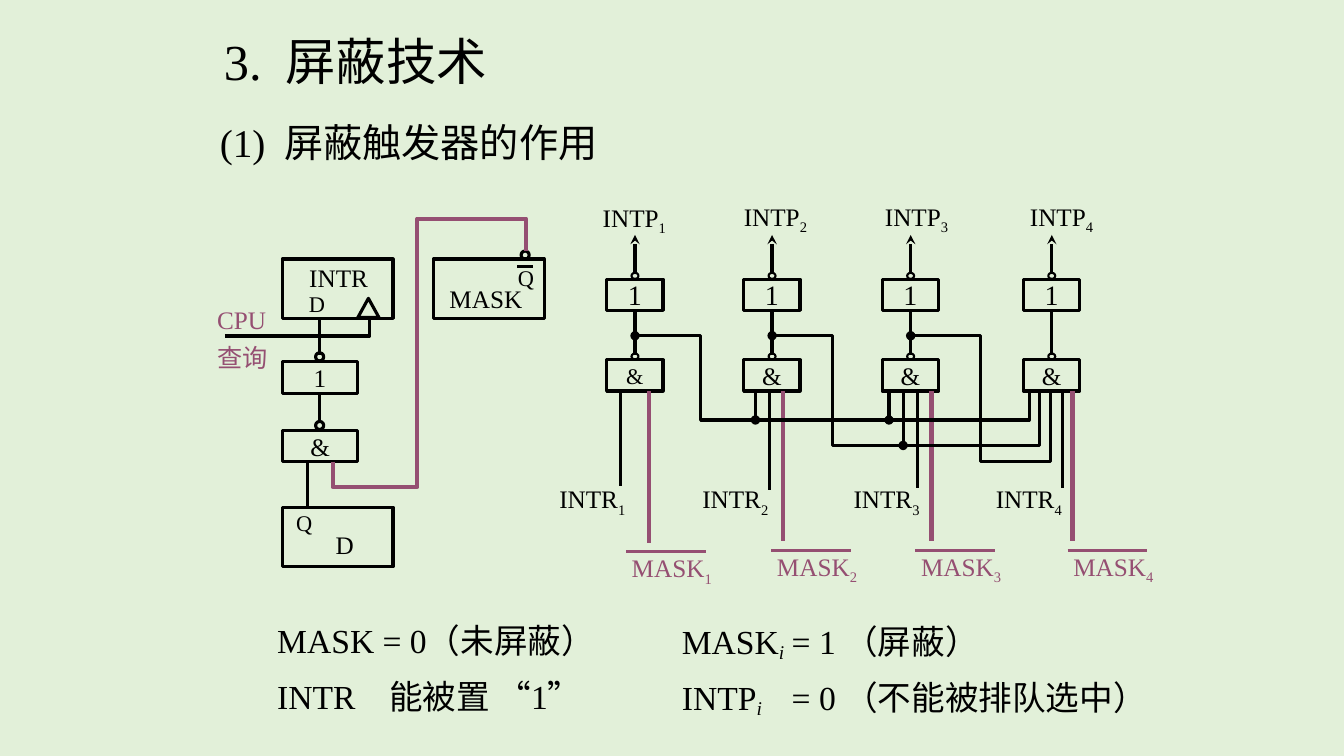
from lxml.etree import SubElement
from pptx import Presentation
from pptx.dml.color import RGBColor
from pptx.enum.shapes import MSO_CONNECTOR, MSO_SHAPE
from pptx.enum.text import MSO_ANCHOR, PP_ALIGN
from pptx.oxml.ns import qn
from pptx.util import Pt

COLORS = {"bg": "E2F0D9", "ink": "000000", "mask": "954F72"}
FONT = "Times New Roman"


def rgb(name):
    return RGBColor.from_string(COLORS[name])


def style_runs(p, size, color):
    for r in p.runs:
        r.font.name = FONT
        r.font.size = Pt(size)
        r.font.color.rgb = rgb(color)


def add_text(s, x, y, w, h, text, size, color="ink", sub="", rest="",
             drop=25, tab=None, middle=False, spacing=None):
    """Text box holding text, an optional subscript and the rest of the line."""
    tf = s.shapes.add_textbox(Pt(x), Pt(y), Pt(w), Pt(h)).text_frame
    tf.word_wrap = True
    tf.text = text
    if middle:
        tf.vertical_anchor = MSO_ANCHOR.MIDDLE
        tf.margin_left = tf.margin_right = tf.margin_top = tf.margin_bottom = 0
    if sub:
        r = tf.paragraphs[0].add_run()
        r.text = sub
        r.font.italic = sub == "i"
        r._r.get_or_add_rPr().set("baseline", str(-drop * 1000))
    if rest:
        tf.paragraphs[0].add_run().text = rest
    for p in tf.paragraphs:
        style_runs(p, size, color)
        if spacing:
            p.line_spacing = spacing
        if tab:
            stops = SubElement(p._p.get_or_add_pPr(), qn("a:tabLst"))
            SubElement(stops, qn("a:tab"), pos=str(Pt(tab)), algn="l")


def add_outline(s, kind, x, y, w, h, weight=2.25, text="", size=18):
    sp = s.shapes.add_shape(kind, Pt(x), Pt(y), Pt(w), Pt(h))
    sp.shadow.inherit = False
    sp.fill.background()
    sp.line.color.rgb = rgb("ink")
    sp.line.width = Pt(weight)
    if text:
        tf = sp.text_frame
        tf.margin_left = tf.margin_right = tf.margin_top = tf.margin_bottom = 0
        tf.vertical_anchor = MSO_ANCHOR.MIDDLE
        tf.word_wrap = False
        tf.text = text
        tf.paragraphs[0].alignment = PP_ALIGN.CENTER
        style_runs(tf.paragraphs[0], size, "ink")


def add_wire(s, points, color="ink", weight=2.25, head=None, tail=None):
    """Straight connector for two points, open freeform for more."""
    pts = [(Pt(x), Pt(y)) for x, y in points]
    if len(pts) == 2:
        wire = s.shapes.add_connector(MSO_CONNECTOR.STRAIGHT, *pts[0], *pts[1])
        SubElement(wire._element.spPr, qn("a:effectLst"))
    else:
        builder = s.shapes.build_freeform(*pts[0], scale=1.0)
        builder.add_line_segments(pts[1:], close=False)
        wire = builder.convert_to_shape()
        wire.shadow.inherit = False
        wire.fill.background()
    wire.line.color.rgb = rgb(color)
    wire.line.width = Pt(weight)
    ln = wire.line._get_or_add_ln()
    for tag, end in (("a:headEnd", head), ("a:tailEnd", tail)):
        if end:
            SubElement(ln, qn(tag), type=end)


def headings(s, x, y):
    add_text(s, x + 3, y, 400, 34, "3.\t屏蔽技术", 36, tab=44, middle=True)
    add_text(s, x, y + 58, 425, 34, "(1)\t屏蔽触发器的作用", 28, tab=46, middle=True)


def flip_flop_circuit(s, x, y):
    left = x + 53.6

    # Flip-flops
    for fx, fy in ((left, y + 35), (x + 161.6, y + 35), (left, y + 212.2)):
        add_outline(s, MSO_SHAPE.RECTANGLE, fx, fy, 79.2, 42.5)
    add_outline(s, MSO_SHAPE.ISOSCELES_TRIANGLE, x + 107.6, y + 63.1, 15.1, 13.7)
    for text, dx, dy, w, size in (("INTR", 65.8, 33.6, 65, 18), ("D", 65.5, 53.8, 30, 16),
                                  ("MASK", 166, 48.7, 75, 18), ("Q", 214.9, 35, 30, 16),
                                  ("Q", 56.5, 210, 30, 16), ("D", 84.6, 224.4, 30, 18)):
        add_text(s, x + dx, y + dy, w, 28, text, size)
    add_wire(s, [(x + 221.4, y + 40.1), (x + 232.9, y + 40.1)])

    # Gates and inverting outputs
    for text, dy in (("1", 108.5), ("&", 157.4)):
        add_outline(s, MSO_SHAPE.RECTANGLE, left, y + dy, 54, 22.3, text=text)
    for dx, dy in ((77.4, 102), (77.4, 151), (224.2, 29.3)):
        add_outline(s, MSO_SHAPE.OVAL, x + dx, y + dy, 5.8, 5.8)

    # Wires
    for dx, top, bottom in ((80.2, 77.5, 103.5), (80.2, 130.8, 151.7), (71.6, 179.8, 212.2)):
        add_wire(s, [(x + dx, y + top), (x + dx, y + bottom)])
    feedback = [(89.6, 179.8), (89.6, 197.8), (150.1, 197.8),
                (150.1, 6.2), (227.8, 6.2), (227.8, 29.3)]
    add_wire(s, [(x + dx, y + dy) for dx, dy in feedback], "mask", 3)

    # CPU query
    add_wire(s, [(x + 12.6, y + 90), (x + 116, y + 90), (x + 116, y + 77.5)])
    add_text(s, x, y + 58.8, 56, 61, "CPU\n查询", 18, "mask", spacing=1.25)


def queue_circuit(s, x, y):
    gate_bottom, branch = y + 139.4, y + 99.8
    # centre, INTR wire, MASK wire, INTP label, INTR label, MASK label, wire end, label drop
    channels = [(61.6, 51.5, 71.7, 31.4, 0.4, 52.2, 207, 1),
                (159.5, 157.7, 167.4, 132.2, 102.6, 155.9, 210, 0),
                (258.5, 263.2, 273.3, 233, 210.6, 258.9, 208.5, 0),
                (359.3, 366.9, 374.1, 336.6, 312.2, 367.6, 208.5, 0)]

    for i, (mid, intr, mask, intp_t, intr_t, mask_t, end, drop) in enumerate(channels, 1):
        # Gates, inverting outputs and the arrow to INTP
        cx = x + mid
        for text, size, dy in (("1", 20, 59.4), ("&", 16 if i == 1 else 18, 117)):
            add_outline(s, MSO_SHAPE.RECTANGLE, cx - 20.3, y + dy, 40.3, 22.3,
                        text=text, size=size)
            add_outline(s, MSO_SHAPE.OVAL, cx - 2.5, y + dy - 4.5, 5, 4.3, 1.5)
        add_wire(s, [(cx, y + 55.1), (cx, y + 27.8)], tail="stealth")
        add_wire(s, [(cx, y + 81.8), (cx, y + 113.4)])

        # Inputs
        add_wire(s, [(x + intr, gate_bottom), (x + intr, y + end)])
        add_wire(s, [(x + mask, gate_bottom), (x + mask, y + 246.6 + drop)], "mask", 3)

        # Labels
        add_text(s, x + intp_t, y + drop, 70, 29, "INTP", 18, sub=str(i))
        add_text(s, x + intr_t, y + 202, 70, 29, "INTR", 18, sub=str(i))
        bar_x, bar_y = x + mask_t + 3, y + 253.1 + drop
        add_text(s, x + mask_t, bar_y - 3, 80, 29, "MASK", 18, "mask", sub=str(i))
        add_wire(s, [(bar_x, bar_y), (bar_x + 56.9, bar_y)], "mask")

    # Buses from each channel to those of lower priority
    buses = [(108.4, 160, 343.1, (147.6, 243)), (202.7, 178.2, 350.3, (253.1,)),
             (308.6, 189.8, 358.2, ())]
    for channel, (turn, level, end, taps) in zip(channels, buses):
        start, turn, level, end = x + channel[0], x + turn, y + level, x + end
        add_wire(s, [(start, branch), (turn, branch), (turn, level),
                     (end, level), (end, gate_bottom)], head="oval")
        for tap in taps:
            add_wire(s, [(x + tap, gate_bottom), (x + tap, level)], tail="oval")


def conclusions(s, x, y):
    right, step = x + 282, 40.3
    add_text(s, x, y, 270, 34, "MASK = 0（未屏蔽）", 24, middle=True)
    add_text(s, x, y + step, 270, 34, "INTR\t能被置 “1”", 24, tab=80, middle=True)
    for row, (name, rest) in enumerate((("MASK", "\t= 1 （屏蔽）"),
                                        ("INTP", "\t= 0 （不能被排队选中）"))):
        add_text(s, right, y + row * step, 360, 36, name, 24, sub="i",
                 rest=rest, drop=15, tab=78.5)


prs = Presentation()
prs.slide_width, prs.slide_height = Pt(960), Pt(540)
s = prs.slides.add_slide(prs.slide_layouts[6])
s.background.fill.solid()
s.background.fill.fore_color.rgb = rgb("bg")
headings(s, 157, 26)
flip_flop_circuit(s, 148, 150)
queue_circuit(s, 392, 140)
conclusions(s, 198, 440)
prs.save("out.pptx")
